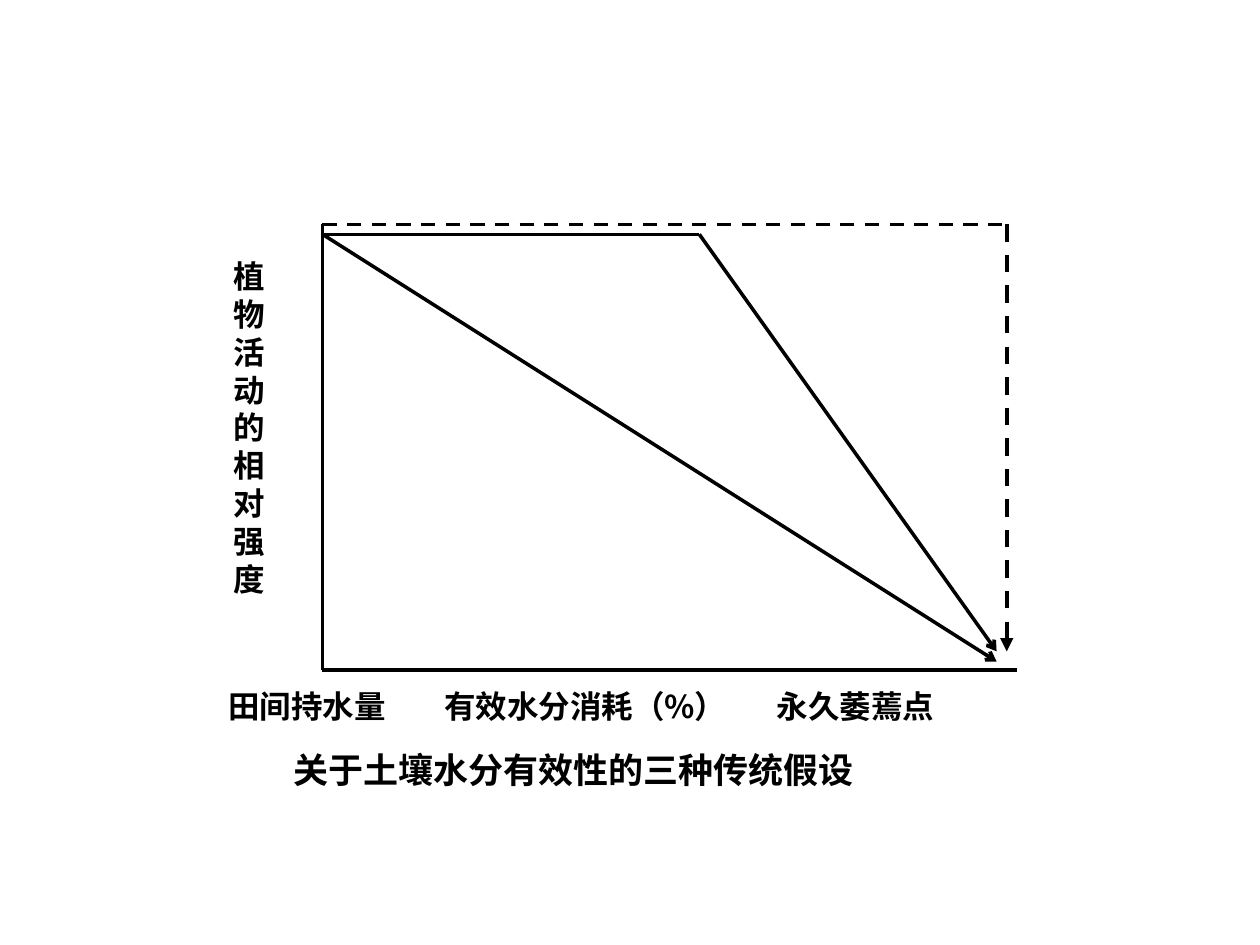
from lxml.etree import SubElement
from pptx import Presentation
from pptx.dml.color import RGBColor
from pptx.enum.dml import MSO_LINE
from pptx.enum.shapes import MSO_CONNECTOR
from pptx.oxml.ns import qn
from pptx.util import Pt

COLORS = {"ink": "000000"}
FONT = "Noto Sans CJK SC"

LEFT, AXIS_END, BOTTOM = 184.3, 581, 383
TOP, PLATEAU = 128.2, 133.9
BREAK_X, CURVE_END, WILTING_X = 399.6, 569.5, 575.3
DROP_END, SLOPE_END = 372.2, 378

# start, end, width, dashed, arrowhead
LINES = [
    ((LEFT, BOTTOM), (AXIS_END, BOTTOM), 2, False, None),
    ((LEFT, BOTTOM), (LEFT, TOP), 2, False, None),
    ((LEFT, PLATEAU), (CURVE_END, SLOPE_END), 2, False, "arrow"),
    ((LEFT, PLATEAU), (BREAK_X, PLATEAU), 2, False, None),
    ((BREAK_X, PLATEAU), (CURVE_END, DROP_END), 2, False, "arrow"),
    ((LEFT, TOP), (WILTING_X, TOP), 2, True, None),
    ((WILTING_X, TOP), (WILTING_X, DROP_END), 2.5, True, "triangle"),
]

VERTICAL_LABEL = "植物活动的相对强度"
LABEL_PITCH = 21.6
LABEL_TOP = 392.3

# lines of text, left, top, width, size, exact line spacing
TEXTS = [
    (list(VERTICAL_LABEL), 133.5, 147, 20, 18, LABEL_PITCH),
    (["田间持水量"], 130.5, LABEL_TOP, 100, 18, None),
    (["有效水分消耗（%）"], 253.8, LABEL_TOP, 180, 18, None),
    (["永久萎蔫点"], 444, LABEL_TOP, 100, 18, None),
    (["关于土壤水分有效性的三种传统假设"], 167.5, 427.8, 340, 20, None),
]


def add_line(slide, start, end, width, dashed, arrowhead):
    points = [Pt(value) for value in start + end]
    connector = slide.shapes.add_connector(MSO_CONNECTOR.STRAIGHT, *points)
    connector.line.color.rgb = RGBColor.from_string(COLORS["ink"])
    connector.line.width = Pt(width)
    if dashed:
        connector.line.dash_style = MSO_LINE.DASH
    if arrowhead:
        SubElement(connector.line._get_or_add_ln(), qn("a:tailEnd"), type=arrowhead)
    SubElement(connector._element.spPr, qn("a:effectLst"))


def add_text(slide, lines, left, top, width, size, spacing):
    height = len(lines) * (spacing or size * 1.45)
    box = slide.shapes.add_textbox(Pt(left), Pt(top), Pt(width), Pt(height))
    frame = box.text_frame
    frame.word_wrap = True
    frame.margin_left = frame.margin_right = frame.margin_top = frame.margin_bottom = 0
    frame.text = "\n".join(lines)
    for paragraph in frame.paragraphs:
        if spacing:
            paragraph.line_spacing = Pt(spacing)
        paragraph.font.size = Pt(size)
        paragraph.font.bold = True
        paragraph.font.color.rgb = RGBColor.from_string(COLORS["ink"])
        paragraph.font.name = FONT
        properties = paragraph._p.pPr.find(qn("a:defRPr"))
        SubElement(properties, qn("a:ea"), typeface=FONT)
        # East Asian text takes its typeface from the run
        for run in paragraph.runs:
            run.font.name = FONT
            SubElement(run.font._element, qn("a:ea"), typeface=FONT)


def main():
    presentation = Presentation()
    presentation.slide_width, presentation.slide_height = Pt(720), Pt(540)
    slide = presentation.slides.add_slide(presentation.slide_layouts[6])
    for line in LINES:
        add_line(slide, *line)
    for text in TEXTS:
        add_text(slide, *text)
    presentation.save("out.pptx")


if __name__ == "__main__":
    main()
